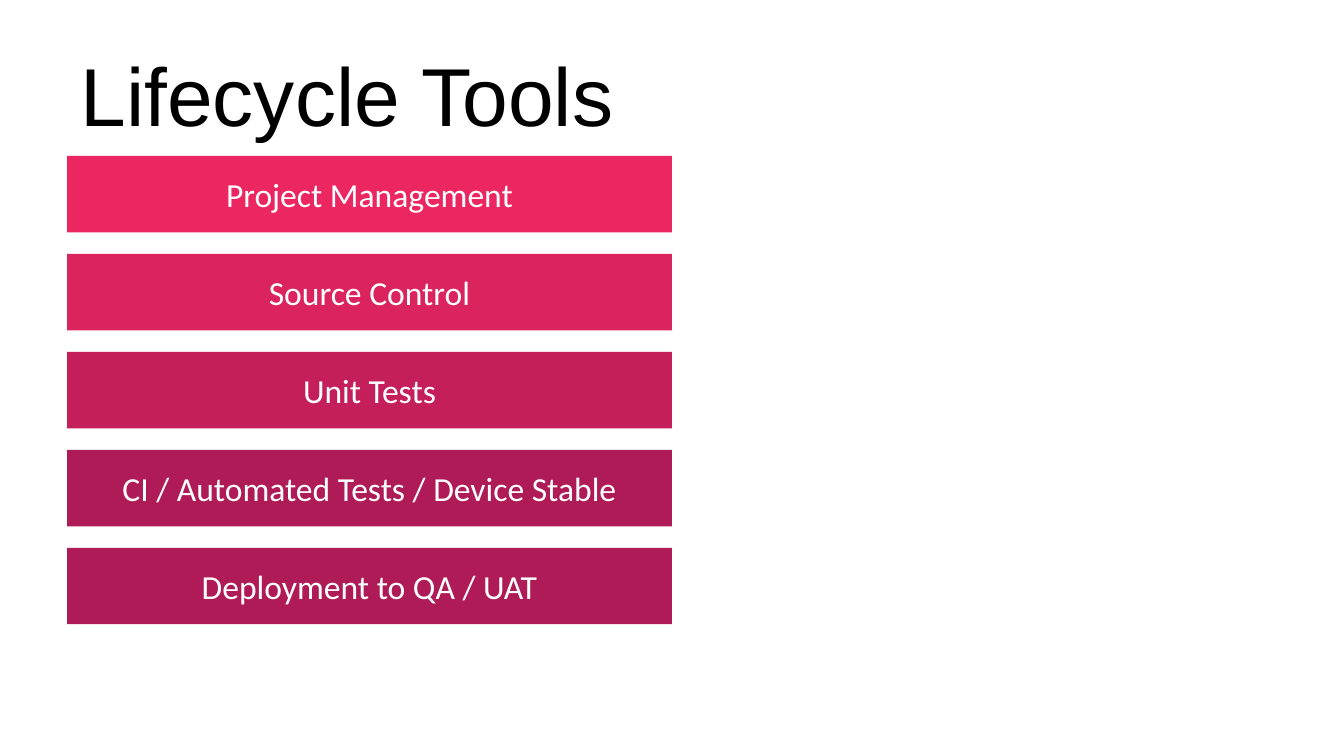
from pptx import Presentation
from pptx.dml.color import RGBColor
from pptx.enum.shapes import MSO_SHAPE
from pptx.enum.text import MSO_ANCHOR, PP_ALIGN
from pptx.util import Pt

PX = 6350  # EMU per px, 144 px to the inch

COLORS = {
    "background": "FFFFFF",
    "title": "000000",
    "label": "FFFFFF",
    "pink": "EC2661",
    "rose": "DB235E",
    "crimson": "C41F5A",
    "wine": "AF1B57",
}

STAGES = [
    ("Project Management", "pink"),
    ("Source Control", "rose"),
    ("Unit Tests", "crimson"),
    ("CI / Automated Tests / Device Stable", "wine"),
    ("Deployment to QA / UAT", "wine"),
]


def rgb(name):
    return RGBColor.from_string(COLORS[name])


def write(shape, text, font_name, size, color, align):
    frame = shape.text_frame
    frame.word_wrap = True
    frame.vertical_anchor = MSO_ANCHOR.MIDDLE
    frame.text = text
    paragraph = frame.paragraphs[0]
    paragraph.alignment = align
    paragraph.font.name = font_name
    paragraph.font.size = Pt(size)
    paragraph.font.color.rgb = rgb(color)


def place_heading(slide, left, top, width, height):
    heading = slide.shapes.title
    heading.left, heading.top = left * PX, top * PX
    heading.width, heading.height = width * PX, height * PX
    write(heading, "Lifecycle Tools", "Arial", 44, "title", PP_ALIGN.LEFT)


def place_stages(slide, left, top, width, height, gap=23):
    """Stack the stages as equal bars that fill the given box."""
    bar_height = (height + gap) // len(STAGES) - gap
    for row, (label, color) in enumerate(STAGES):
        bar_top = top + row * (bar_height + gap)
        stage = slide.shapes.add_shape(
            MSO_SHAPE.RECTANGLE,
            left * PX, bar_top * PX, width * PX, bar_height * PX)
        stage.shadow.inherit = False
        stage.fill.solid()
        stage.fill.fore_color.rgb = rgb(color)
        stage.line.fill.background()
        write(stage, label, "Calibri", 18, "label", PP_ALIGN.CENTER)


def main():
    deck = Presentation()
    deck.slide_width, deck.slide_height = 1440 * PX, 810 * PX
    slide = deck.slides.add_slide(deck.slide_layouts[5])  # title only
    slide.background.fill.solid()
    slide.background.fill.fore_color.rgb = rgb("background")

    # Heading
    place_heading(slide, 72, 33, 1296, 135)
    # Lifecycle stages, left half
    place_stages(slide, 72, 167, 648, 502)

    deck.save("out.pptx")


if __name__ == "__main__":
    main()
